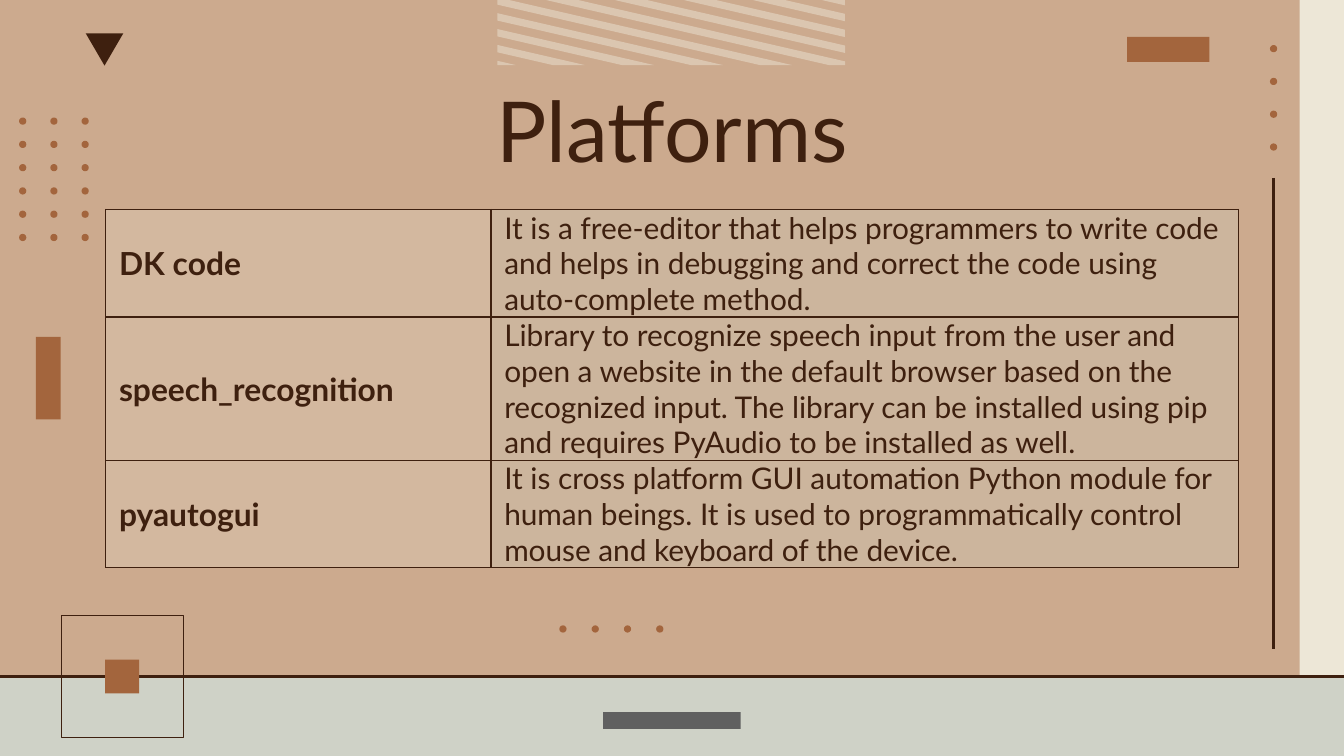
from itertools import product

from pptx import Presentation
from pptx.dml.color import RGBColor
from pptx.enum.shapes import MSO_CONNECTOR as CONNECTOR, MSO_SHAPE as SHAPE
from pptx.enum.text import MSO_ANCHOR as ANCHOR, PP_ALIGN as ALIGN
from pptx.oxml import parse_xml
from pptx.oxml.ns import nsdecls, qn
from pptx.util import Cm, Pt

# Content
TITLE = "Platforms"
PLATFORMS = [
    ("DK code",
     "It is a free-editor that helps programmers to write code and helps in "
     "debugging and correct the code using auto-complete method."),
    ("speech_recognition",
     "Library to recognize speech input from the user and open a website in the "
     "default browser based on the recognized input. The library can be installed "
     "using pip and requires PyAudio to be installed as well."),
    ("pyautogui",
     "It is cross platform GUI automation Python module for human beings. It is "
     "used to programmatically control mouse and keyboard of the device."),
]

# Style
FONT = "Lato"
TAN = RGBColor(0xCC, 0xAA, 0x8E)
CREAM = RGBColor(0xED, 0xE7, 0xD7)
SAGE = RGBColor(0xCF, 0xD2, 0xC7)
RUST = RGBColor(0xA3, 0x65, 0x3D)
BROWN = RGBColor(0x3E, 0x20, 0x0F)
GRAY = RGBColor(0x60, 0x60, 0x60)

# Layout, in centimetres
WIDTH, HEIGHT = 25.4, 14.29
GROUND_TOP = 12.78
DOT = 0.11
DOT_GRIDS = [  # first centre x, y; step x, y; columns, rows
    (24.07, 0.92, 0, 0.62, 1, 4),
    (0.43, 2.29, 0.59, 0.44, 3, 6),
    (10.64, 11.89, 0.61, 0, 4, 1),
]
BARS = [  # left, top, width, height, colour
    (21.3, 0.7, 1.56, 0.47, RUST),
    (0.68, 6.37, 0.47, 1.56, RUST),
    (11.4, 13.46, 2.6, 0.32, GRAY),
    (1.99, 12.47, 0.64, 0.64, RUST),
]
STRIPES_LEFT, STRIPES_RIGHT, STRIPES_BOTTOM = 9.4, 15.97, 1.23
STRIPE_COUNT, STRIPE_STEP, STRIPE_DEPTH, STRIPE_SLOPE = 10, 0.3, 0.14, 0.23
COLUMN_WIDTHS = (7.28, 14.13)
ROW_HEIGHTS = (2.02, 2.68, 2.02)

prs = Presentation()
prs.slide_width, prs.slide_height = Cm(WIDTH), Cm(HEIGHT)
slide = prs.slides.add_slide(prs.slide_layouts[6])
slide.background.fill.solid()
slide.background.fill.fore_color.rgb = TAN


def paint(fill, color, opacity=100):
    fill.solid()
    fill.fore_color.rgb = color
    if opacity < 100:
        srgb = fill._xPr.find(qn("a:solidFill"))[0]
        srgb.append(parse_xml(f'<a:alpha {nsdecls("a")} val="{opacity * 1000}"/>'))


def add_block(kind, left, top, width, height, color=None, line=None, line_width=0.75):
    block = slide.shapes.add_shape(kind, Cm(left), Cm(top), Cm(width), Cm(height))
    block.shadow.inherit = False
    if color is None:
        block.fill.background()
    else:
        paint(block.fill, color)
    if line is None:
        block.line.fill.background()
    else:
        block.line.color.rgb = line
        block.line.width = Pt(line_width)
    return block


def add_rule(x1, y1, x2, y2):
    rule = slide.shapes.add_connector(CONNECTOR.STRAIGHT, Cm(x1), Cm(y1), Cm(x2), Cm(y2))
    rule.line.color.rgb = BROWN
    rule.line.width = Pt(1.5)
    rule._element.spPr.append(parse_xml(f'<a:effectLst {nsdecls("a")}/>'))


def edge_ends(y_left):
    """Ends of a sloping edge, clipped to the striped box."""
    ends = []
    for x in (STRIPES_LEFT, STRIPES_RIGHT):
        y = y_left + (x - STRIPES_LEFT) * STRIPE_SLOPE
        clipped = min(max(y, 0), STRIPES_BOTTOM)
        x += (clipped - y) / STRIPE_SLOPE
        ends.append((min(max(x, STRIPES_LEFT), STRIPES_RIGHT), clipped))
    return ends


def add_stripe(y_left):
    upper_start, upper_end = edge_ends(y_left)
    lower_start, lower_end = edge_ends(y_left + STRIPE_DEPTH)
    start_corner = tuple(map(min, upper_start, lower_start))
    end_corner = tuple(map(max, upper_end, lower_end))
    points = [(Cm(x), Cm(y)) for x, y in (
        start_corner, upper_start, upper_end, end_corner, lower_end, lower_start)]
    outline = slide.shapes.build_freeform(*points[0])
    outline.add_line_segments(points[1:], close=True)
    stripe = outline.convert_to_shape()
    stripe.shadow.inherit = False
    paint(stripe.fill, CREAM, 47)
    stripe.line.fill.background()


def write(frame, text, size, bold=False):
    frame.text = text
    paragraph = frame.paragraphs[0]
    font = paragraph.runs[0].font
    font.name, font.size, font.bold = FONT, Pt(size), bold
    font.color.rgb = BROWN
    return paragraph


def add_borders(cell):
    for i, side in enumerate(("lnL", "lnR", "lnT", "lnB")):
        cell._tc.get_or_add_tcPr().insert(i, parse_xml(
            f'<a:{side} {nsdecls("a")} w="{Pt(0.75)}"><a:solidFill>'
            f'<a:srgbClr val="{BROWN}"/></a:solidFill></a:{side}>'))


# Side panel and ground
add_block(SHAPE.RECTANGLE, 24.56, 0, WIDTH - 24.56, GROUND_TOP, CREAM)
add_block(SHAPE.RECTANGLE, 0, GROUND_TOP, WIDTH, HEIGHT - GROUND_TOP, SAGE)
add_rule(0, GROUND_TOP, WIDTH, GROUND_TOP)
add_rule(24.07, 3.36, 24.07, 12.27)

# Ornaments
for x, y, step_x, step_y, columns, rows in DOT_GRIDS:
    for column, row in product(range(columns), range(rows)):
        add_block(SHAPE.OVAL, x + column * step_x - DOT / 2, y + row * step_y - DOT / 2,
                  DOT, DOT, RUST, RUST)
for *box, color in BARS:
    add_block(SHAPE.RECTANGLE, *box, color)
add_block(SHAPE.RECTANGLE, 1.16, 11.63, 2.31, 2.31, line=BROWN, line_width=0.4)
add_block(SHAPE.ISOSCELES_TRIANGLE, 1.62, 0.63, 0.71, 0.61, BROWN).rotation = 180
for i in range(STRIPE_COUNT):
    add_stripe(1.15 - i * STRIPE_STEP)

# Title
title = slide.shapes.add_textbox(Cm(2), Cm(1.24), Cm(21.41), Cm(1.6)).text_frame
title.word_wrap = True
title.margin_top = title.margin_bottom = Cm(0.25)
write(title, TITLE, 45).alignment = ALIGN.CENTER

# Table of platforms
table = slide.shapes.add_table(
    len(PLATFORMS), len(COLUMN_WIDTHS), Cm(2), Cm(3.96),
    Cm(sum(COLUMN_WIDTHS)), Cm(sum(ROW_HEIGHTS))).table
table.first_row = table.horz_banding = False
for column, width in zip(table.columns, COLUMN_WIDTHS):
    column.width = Cm(width)
for r, (platform, height) in enumerate(zip(PLATFORMS, ROW_HEIGHTS)):
    table.rows[r].height = Cm(height)
    looks = [(17, True, CREAM, 24), (16, False, SAGE, 28)]
    for c, (text, (size, bold, color, opacity)) in enumerate(zip(platform, looks)):
        cell = table.cell(r, c)
        cell.margin_left = cell.margin_right = Cm(0.25)
        cell.margin_top = cell.margin_bottom = 0
        cell.vertical_anchor = ANCHOR.MIDDLE
        write(cell.text_frame, text, size, bold)
        paint(cell.fill, color, opacity)
        add_borders(cell)

prs.save("out.pptx")
